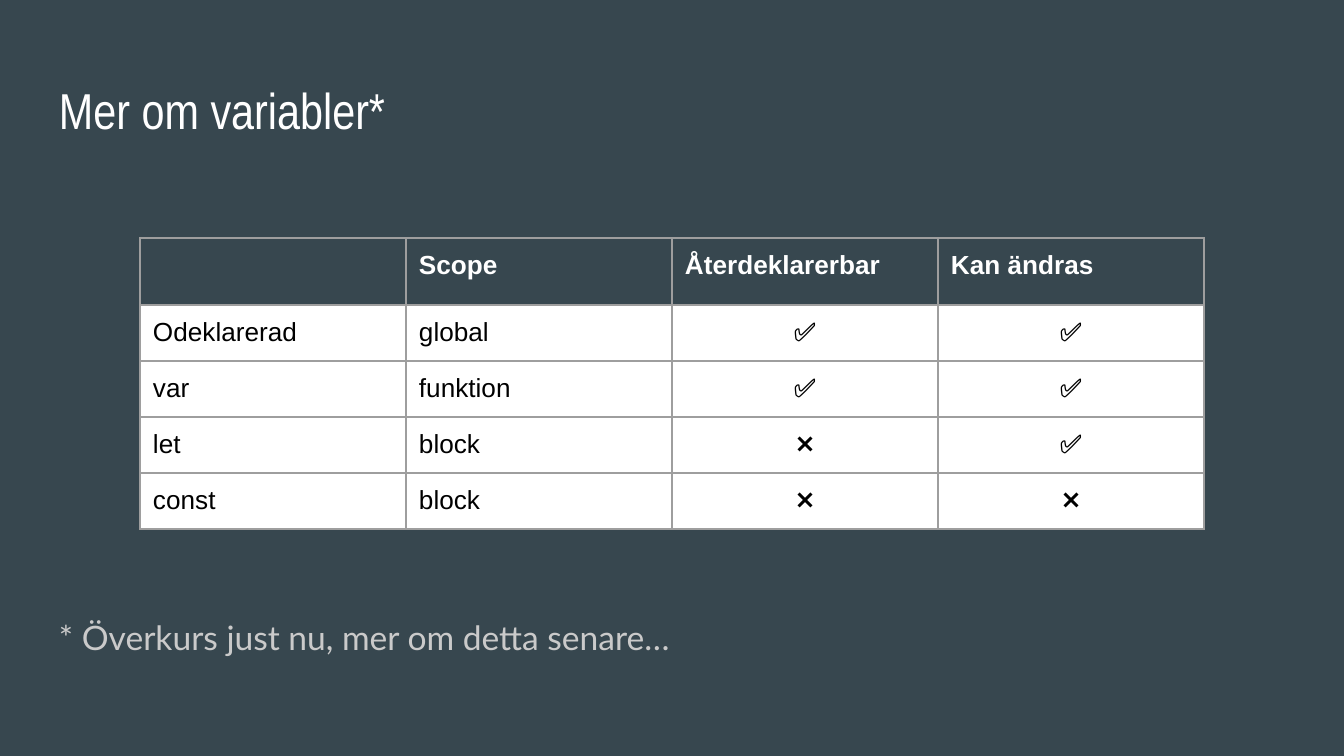
"""Build a slide comparing how JavaScript variables can be declared."""
import lxml.etree
import pptx
import pptx.dml.color
import pptx.enum.text
import pptx.oxml.ns
import pptx.util

SLIDE_WIDTH, SLIDE_HEIGHT = 1344, 756
EMU_PER_PX = pptx.util.Inches(10) / SLIDE_WIDTH
INSET = 13
SLATE = pptx.dml.color.RGBColor(0x37, 0x47, 0x4F)
WHITE = pptx.dml.color.RGBColor(0xFF, 0xFF, 0xFF)
BLACK = pptx.dml.color.RGBColor(0x00, 0x00, 0x00)
LIGHT_GRAY = pptx.dml.color.RGBColor(0xCA, 0xCA, 0xCA)
BORDER_GRAY = pptx.dml.color.RGBColor(0x9E, 0x9E, 0x9E)
LEFT = pptx.enum.text.PP_ALIGN.LEFT
CENTER = pptx.enum.text.PP_ALIGN.CENTER


def px(length):
    return pptx.util.Emu(round(length * EMU_PER_PX))


def write(text_frame, text, font="Arial", size=14, color=BLACK, bold=False, align=LEFT):
    paragraph = text_frame.paragraphs[0]
    paragraph.alignment = align
    run = paragraph.add_run()
    run.text = text
    run.font.name = font
    run.font.size = pptx.util.Pt(size)
    run.font.bold = bold
    run.font.color.rgb = color
    return paragraph


presentation = pptx.Presentation()
presentation.slide_width = px(SLIDE_WIDTH)
presentation.slide_height = px(SLIDE_HEIGHT)
slide = presentation.slides.add_slide(presentation.slide_layouts[5])
slide.background.fill.solid()
slide.background.fill.fore_color.rgb = SLATE

title = slide.shapes.title
title.left, title.top, title.width, title.height = px(46), px(66), px(1252), px(85)
footnote = slide.shapes.add_textbox(px(46), px(598), px(1252), px(74))
for shape in (title, footnote):
    text_frame = shape.text_frame
    text_frame.word_wrap = True
    text_frame.auto_size = pptx.enum.text.MSO_AUTO_SIZE.NONE
    text_frame.vertical_anchor = pptx.enum.text.MSO_ANCHOR.TOP
    text_frame.margin_left = text_frame.margin_right = px(INSET)
    text_frame.margin_top = text_frame.margin_bottom = px(INSET)

write(title.text_frame, "Mer om variabler*", font="Arial Narrow", size=27, color=WHITE)
paragraph = write(footnote.text_frame, "* Överkurs just nu, mer om detta senare…",
                  font="Lato", size=18, color=LIGHT_GRAY)
paragraph.line_spacing = 1.15
paragraph.space_after = pptx.util.Pt(12)

ROWS = [
    ("", "Scope", "Återdeklarerbar", "Kan ändras"),
    ("Odeklarerad", "global", "✅", "✅"),
    ("var", "funktion", "✅", "✅"),
    ("let", "block", "❌", "✅"),
    ("const", "block", "❌", "❌"),
]
COLUMN_WIDTH, HEADER_HEIGHT, ROW_HEIGHT = 266, 64, 56
table_height = HEADER_HEIGHT + ROW_HEIGHT * (len(ROWS) - 1)
table = slide.shapes.add_table(len(ROWS), len(ROWS[0]), px(140), px(238),
                               px(COLUMN_WIDTH * len(ROWS[0])), px(table_height)).table
for column in table.columns:
    column.width = px(COLUMN_WIDTH)

for row_index, texts in enumerate(ROWS):
    is_header = row_index == 0
    table.rows[row_index].height = px(HEADER_HEIGHT if is_header else ROW_HEIGHT)
    for column_index, text in enumerate(texts):
        cell = table.cell(row_index, column_index)
        cell.margin_left = cell.margin_right = px(INSET)
        cell.margin_top = cell.margin_bottom = px(INSET)
        is_mark = column_index >= 2 and not is_header
        if text:
            write(cell.text_frame, text, color=WHITE if is_header else BLACK,
                  bold=is_header, align=CENTER if is_mark else LEFT)

        properties = cell._tc.get_or_add_tcPr()
        for side in ("a:lnL", "a:lnR", "a:lnT", "a:lnB"):
            border = lxml.etree.SubElement(properties, pptx.oxml.ns.qn(side),
                                           w=str(pptx.util.Pt(0.75)))
            border_fill = lxml.etree.SubElement(border, pptx.oxml.ns.qn("a:solidFill"))
            lxml.etree.SubElement(border_fill, pptx.oxml.ns.qn("a:srgbClr"),
                                  val=str(BORDER_GRAY))
        if is_header:
            cell.fill.background()
        else:
            cell.fill.solid()
            cell.fill.fore_color.rgb = WHITE

presentation.save("out.pptx")
